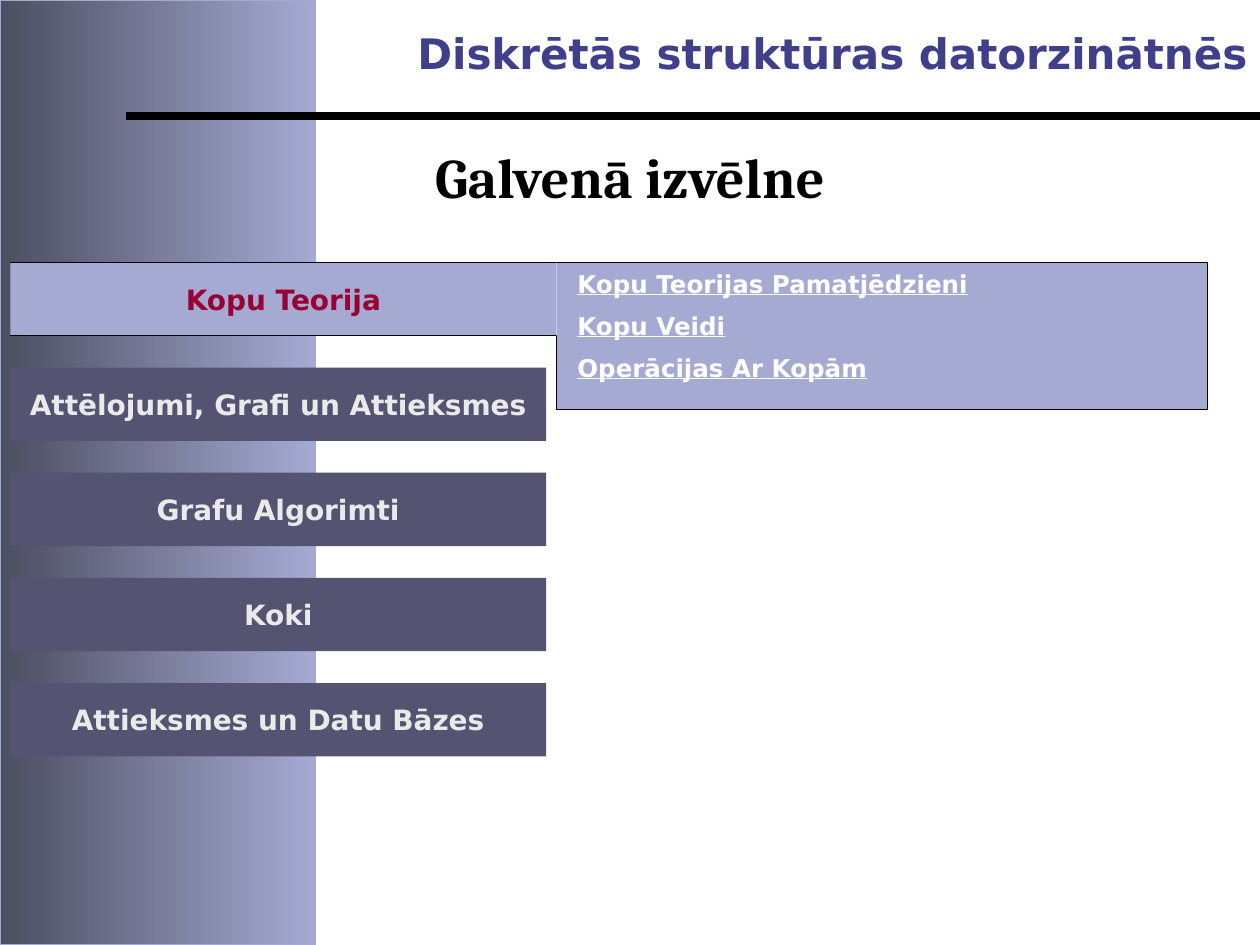
from lxml.etree import SubElement
from pptx import Presentation
from pptx.dml.color import RGBColor
from pptx.enum.shapes import MSO_CONNECTOR as Conn, MSO_SHAPE as Kind
from pptx.enum.text import MSO_ANCHOR as Anchor, MSO_AUTO_SIZE as Auto, PP_ALIGN as Align
from pptx.oxml.ns import qn
from pptx.util import Cm, Pt

BLACK = RGBColor(0x00, 0x00, 0x00)
WHITE = RGBColor(0xFF, 0xFF, 0xFF)
LILAC = RGBColor(0xA5, 0xAA, 0xD3)
SLATE = RGBColor(0x4C, 0x4E, 0x61)
PLUM = RGBColor(0x54, 0x54, 0x72)
NAVY = RGBColor(0x3F, 0x3F, 0x8B)
PALE = RGBColor(0xEA, 0xEA, 0xEA)
RED = RGBColor(0x99, 0x00, 0x33)

WIDE, HIGH = 25.4, 19.05
LEFT, TOP = 0.21, 5.29
TALL, STEP = 1.48, 2.12
EDGE, END, LOW = 11.22, 24.34, 8.26
ROW = 0.85

TOPICS = ["Attēlojumi, Grafi un Attieksmes", "Grafu Algorimti", "Koki", "Attieksmes un Datu Bāzes"]
LINKS = ["Kopu Teorijas Pamatjēdzieni", "Kopu Veidi", "Operācijas Ar Kopām"]


def write(shape, text, size=16, color=PALE, font="DejaVu Sans", align=Align.CENTER,
          anchor=Anchor.MIDDLE, wrap=False, fit=Auto.NONE, line=False, inset=0.25):
    """Put one formatted bold paragraph into a shape."""
    frame = shape.text_frame
    frame.word_wrap, frame.auto_size = wrap, fit
    frame.vertical_anchor = anchor
    frame.margin_left, frame.margin_right = Cm(inset), Cm(0.25)
    frame.margin_top = frame.margin_bottom = Cm(0.13)
    para = frame.paragraphs[0]
    para.alignment = align
    run = para.add_run()
    run.text = text
    face = run.font
    face.name, face.size, face.bold = font, Pt(size), True
    face.underline = line
    face.color.rgb = color


def block(shapes, left, top, width, height, fill):
    """Add a plain filled rectangle."""
    shape = shapes.add_shape(Kind.RECTANGLE, Cm(left), Cm(top), Cm(width), Cm(height))
    shape.shadow.inherit = False
    shape.fill.solid()
    shape.fill.fore_color.rgb = fill
    shape.line.fill.background()
    return shape


def rule(shapes, x1, y1, x2, y2, width=0.75):
    """Add a straight black line."""
    line = shapes.add_connector(Conn.STRAIGHT, Cm(x1), Cm(y1), Cm(x2), Cm(y2))
    line.line.color.rgb = BLACK
    line.line.width = Pt(width)
    SubElement(line.element.spPr, qn("a:effectLst"))


def band(shapes):
    """Add the shaded side band behind everything."""
    side = block(shapes, 0, 0, 6.35, HIGH, LILAC)
    side.fill.gradient()
    side.fill.gradient_angle = 180
    for stop, color in zip(side.fill.gradient_stops, (LILAC, SLATE)):
        stop.color.rgb = color
    side.line.color.rgb = LILAC
    side.line.width = Pt(0.75)
    shapes.element.insert(2, side.element)


def head(shapes):
    """Set the title, the course name and the rule between them."""
    title = shapes.title
    title.left, title.top, title.width, title.height = Cm(0), Cm(2.74), Cm(WIDE), Cm(1.63)
    write(title, "Galvenā izvēlne", size=32, color=BLACK, font="Cambria",
          anchor=Anchor.TOP, wrap=True, fit=Auto.SHAPE_TO_FIT_TEXT)
    name = shapes.add_textbox(Cm(0), Cm(0.43), Cm(WIDE), Cm(1.27))
    write(name, "Diskrētās struktūras datorzinātnēs", size=24, color=NAVY,
          align=Align.RIGHT, anchor=Anchor.TOP, wrap=True, fit=Auto.SHAPE_TO_FIT_TEXT)
    rule(shapes, WIDE, 2.33, 2.54, 2.33, width=4.5)


def menu(shapes):
    """Add the topic buttons and the open tab."""
    for i, topic in enumerate(TOPICS, 1):
        write(block(shapes, LEFT, TOP + i * STEP, 10.8, TALL, PLUM), topic)
    tab = shapes.add_group_shape().shapes
    write(block(tab, LEFT, TOP, EDGE - LEFT, TALL, LILAC), "Kopu Teorija", color=RED)
    for y in (TOP + TALL, TOP):
        rule(tab, LEFT, y, EDGE, y)


def pane(shapes):
    """Add the outlined pane with the links of the open tab."""
    block(shapes, EDGE, TOP, END - EDGE, LOW - TOP, LILAC)
    rule(shapes, EDGE, TOP + TALL, EDGE, LOW)
    rule(shapes, END, TOP, END, LOW)
    for y in (TOP, LOW):
        rule(shapes, EDGE, y, END, y)
    for i, link in enumerate(LINKS):
        box = shapes.add_textbox(Cm(EDGE), Cm(TOP + i * ROW), Cm(END - EDGE), Cm(ROW))
        write(box, link, size=14, color=WHITE, align=Align.LEFT, wrap=True, line=True, inset=0.42)


def main():
    """Build the slide and save it."""
    deck = Presentation()
    deck.slide_width, deck.slide_height = Cm(WIDE), Cm(HIGH)
    shapes = deck.slides.add_slide(deck.slide_layouts[5]).shapes
    band(shapes)
    head(shapes)
    menu(shapes)
    pane(shapes)
    deck.save("out.pptx")


if __name__ == "__main__":
    main()
